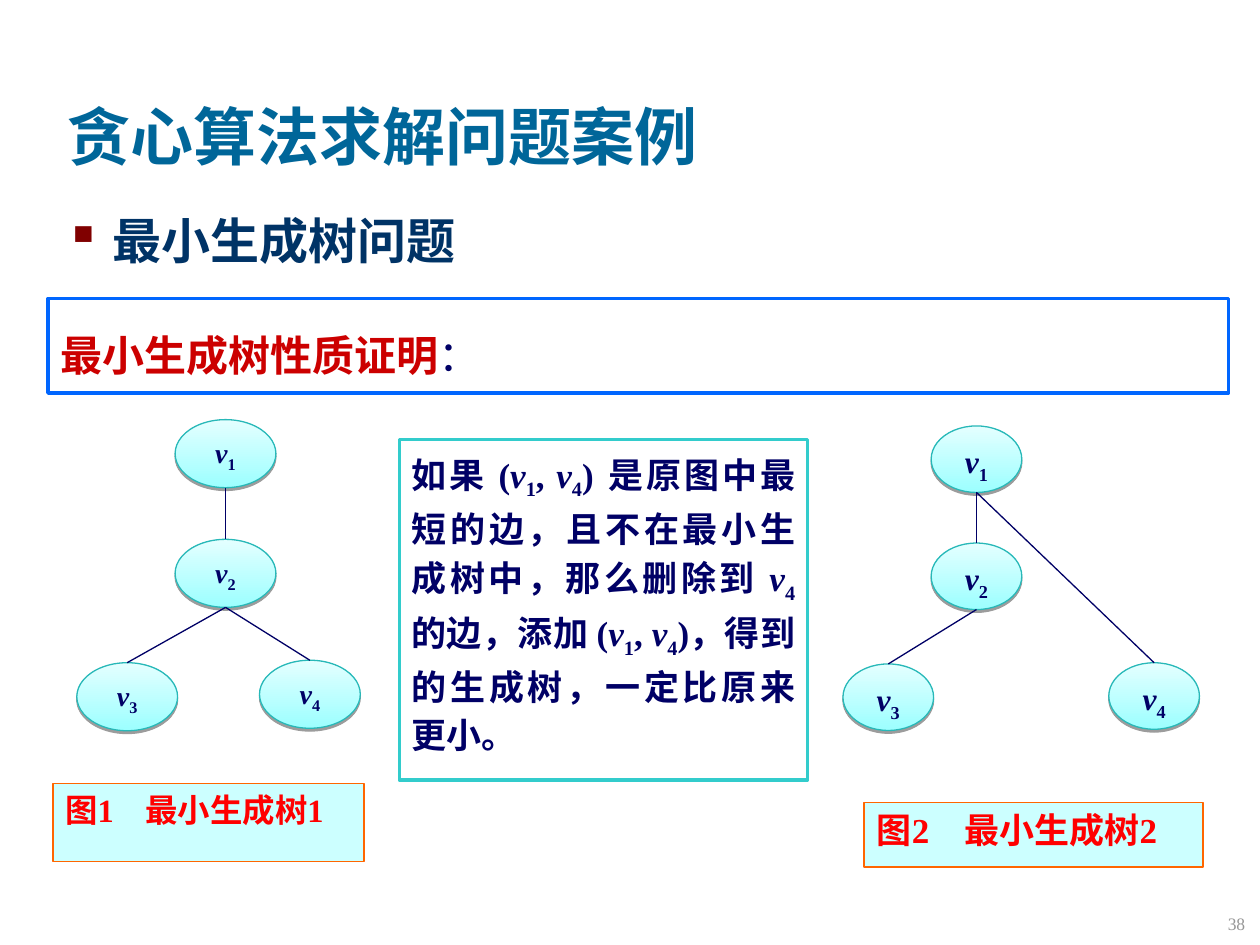
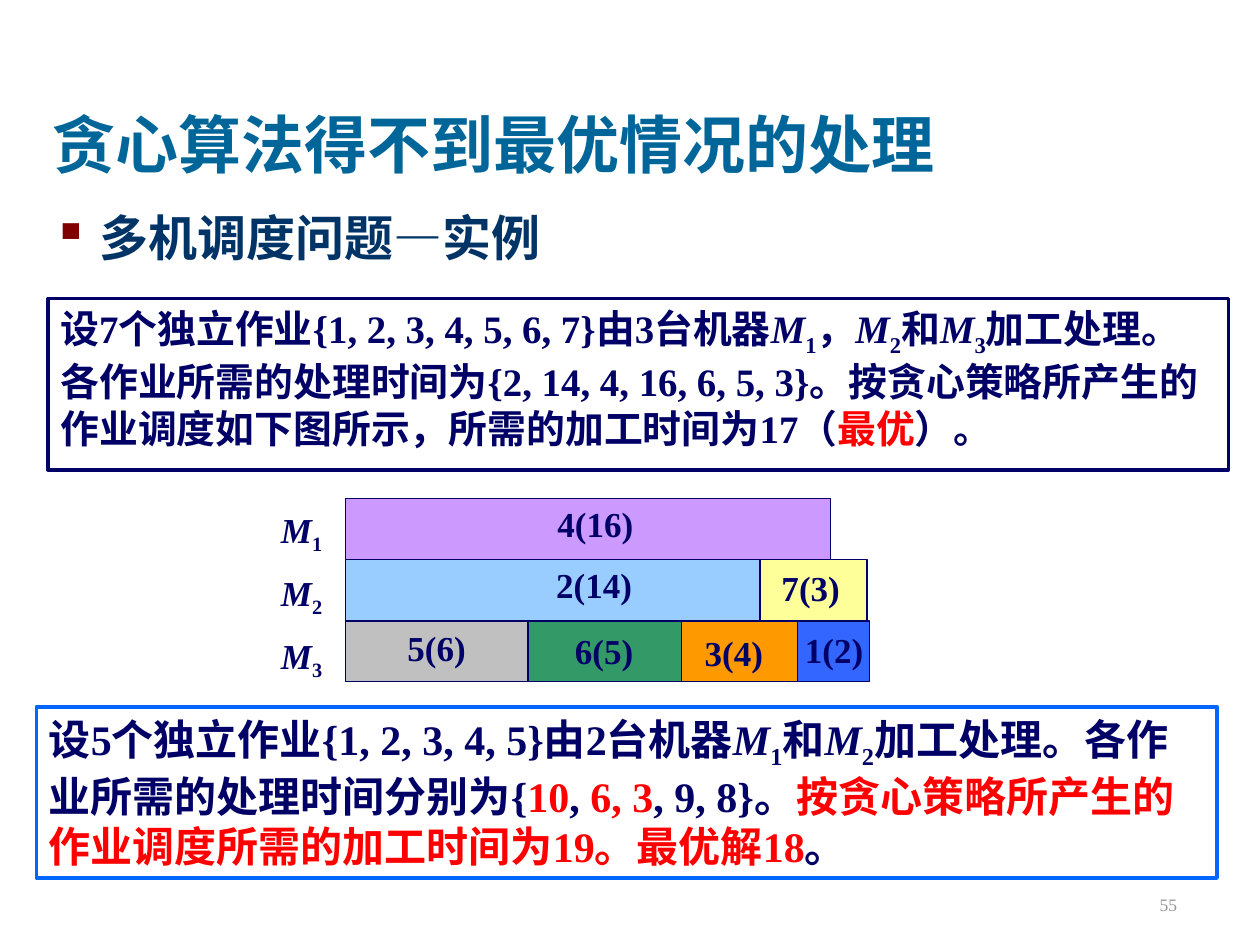
"""Build two slides on greedy algorithms: spanning trees and machine scheduling."""
from dataclasses import dataclass
from typing import NamedTuple

from lxml.etree import SubElement
from pptx import Presentation
from pptx.dml.color import RGBColor
from pptx.enum.lang import MSO_LANGUAGE_ID as Language
from pptx.enum.shapes import MSO_CONNECTOR as Connector, MSO_SHAPE as Preset
from pptx.enum.text import MSO_ANCHOR as Anchor, PP_ALIGN as Align
from pptx.oxml.ns import qn
from pptx.util import Pt

FONT = "Times New Roman"
NAVY, BLUE, RED, WHITE = "000066", "0066FF", "FF0000", "FFFFFF"
TITLE, HEADING, BULLET, NUMBER = "006699", "003366", "800000", "969696"
CRIMSON, TEAL, CYAN, ORANGE = "CC0000", "33CCCC", "CCFFFF", "FF6600"
NODE_EDGE, NODE_BOTTOM, NODE_TOP = "28B8B8", "9CFFFF", "E4FFFF"
ROW_TOP, ROW_PITCH, BAR_HEIGHT = 285, 34.9, 34.7


class Area(NamedTuple):
    """Left, top, width and height in points."""

    left: float
    top: float
    width: float
    height: float


class Span(NamedTuple):
    """A stretch of text with one look."""

    text: str
    color: str = ""
    italic: bool = False
    sub: bool = False
    bold: bool = True


@dataclass
class Style:
    """The look of one paragraph."""

    size: float
    color: str = NAVY
    align: Align = Align.LEFT
    anchor: Anchor = Anchor.TOP
    line_spacing: float | None = None
    margins: tuple[float, float] = (7.2, 3.6)
    tab: float = 0
    bullet: bool = False


@dataclass
class Frame:
    """A bordered rectangle with text."""

    area: Area
    edge: str
    spans: list[Span]
    style: Style
    fill: str = WHITE
    weight: float = 2


@dataclass
class Tree:
    """A spanning tree whose nodes are numbered from one."""

    node_width: float
    node_height: float
    size: float
    corners: list[tuple[float, float]]
    edges: list[tuple[int, int]]


class Job(NamedTuple):
    """A scheduled job: its bar and its label."""

    name: str
    row: int
    left: float
    width: float
    fill: str
    label_left: float
    label_top: float
    label_width: float


def rgb(value: str) -> RGBColor:
    """Turn a hex string into a colour."""
    return RGBColor.from_string(value)


def symbol(letter: str, index: str) -> list[Span]:
    """Return an italic letter with a subscript."""
    return [Span(letter, italic=True), Span(index, sub=True)]


def write(shape, spans: list[Span], style: Style) -> None:
    """Fill a shape with one paragraph of styled spans."""
    frame = shape.text_frame
    frame.word_wrap = True
    frame.vertical_anchor = style.anchor
    frame.margin_left = frame.margin_right = Pt(style.margins[0])
    frame.margin_top = frame.margin_bottom = Pt(style.margins[1])
    para = frame.paragraphs[0]
    para.alignment = style.align
    para.line_spacing = style.line_spacing
    properties = para._p.get_or_add_pPr()
    if style.bullet:
        properties.set("marL", str(Pt(27)))
        properties.set("indent", str(Pt(-27)))
        color = SubElement(properties, qn("a:buClr"))
        SubElement(color, qn("a:srgbClr"), val=BULLET)
        SubElement(properties, qn("a:buChar"), char="▪")
    if style.tab:
        stops = SubElement(properties, qn("a:tabLst"))
        SubElement(stops, qn("a:tab"), pos=str(Pt(style.tab)), algn="l")
    for item in spans:
        span = para.add_run()
        span.text = item.text
        font = span.font
        font.name, font.size = FONT, Pt(style.size)
        font.bold, font.italic = item.bold, item.italic
        font.language_id = Language.SIMPLIFIED_CHINESE
        font.color.rgb = rgb(item.color or style.color)
        if item.sub:
            span._r.get_or_add_rPr().set("baseline", "-25000")


def add_text(shapes, area: Area, spans: list[Span], style: Style) -> None:
    """Add a text box."""
    write(shapes.add_textbox(*map(Pt, area)), spans, style)


def add_shape(shapes, preset: Preset, area: Area, edge: str, weight: float):
    """Add a shadowless outlined shape."""
    shape = shapes.add_shape(preset, *map(Pt, area))
    shape.shadow.inherit = False
    shape.line.color.rgb = rgb(edge)
    shape.line.width = Pt(weight)
    return shape


def add_rect(shapes, area: Area, fill: str, edge: str, weight: float):
    """Add a filled rectangle."""
    rect = add_shape(shapes, Preset.RECTANGLE, area, edge, weight)
    rect.fill.solid()
    rect.fill.fore_color.rgb = rgb(fill)
    return rect


def add_frame(shapes, frame: Frame) -> None:
    """Add a bordered rectangle with its text."""
    rect = add_rect(shapes, frame.area, frame.fill, frame.edge, frame.weight)
    write(rect, frame.spans, frame.style)


def add_node(shapes, area: Area, number: int, size: float) -> None:
    """Add a tree node with a gradient and a drop shadow."""
    node = add_shape(shapes, Preset.OVAL, area, NODE_EDGE, 0.75)
    node.fill.gradient()
    node.fill.gradient_angle = 90
    for stop, color in zip(node.fill.gradient_stops, (NODE_BOTTOM, NODE_TOP)):
        stop.color.rgb = rgb(color)
    effects = node._element.spPr.find(qn("a:effectLst"))
    shadow = SubElement(effects, qn("a:outerShdw"), blurRad="0",
                        dist=str(Pt(1.6)), dir="5400000", rotWithShape="0")
    color = SubElement(shadow, qn("a:srgbClr"), val="000000")
    SubElement(color, qn("a:alpha"), val="38000")
    write(node, symbol("v", str(number)), Style(size, align=Align.CENTER))


def add_tree(page, tree: Tree) -> None:
    """Draw the nodes of a tree and the edges from parent to child."""
    shapes = page.shapes.add_group_shape().shapes
    for number, (left, top) in enumerate(tree.corners, 1):
        area = Area(left, top, tree.node_width, tree.node_height)
        add_node(shapes, area, number, tree.size)
    middle = tree.node_width / 2
    for parent, child in tree.edges:
        start, end = tree.corners[parent - 1], tree.corners[child - 1]
        ends = (start[0] + middle, start[1] + tree.node_height,
                end[0] + middle, end[1])
        edge = shapes.add_connector(Connector.STRAIGHT, *map(Pt, ends))
        edge.line.color.rgb = rgb(NAVY)
        edge.line.width = Pt(0.75)
        SubElement(edge._element.spPr, qn("a:effectLst"))


def add_schedule(page, jobs: list[Job]) -> None:
    """Draw one row of job bars for each machine."""
    shapes = page.shapes.add_group_shape().shapes
    style = Style(20, align=Align.CENTER, margins=(0, 0))
    for job in jobs:
        top = ROW_TOP + job.row * ROW_PITCH
        add_rect(shapes, Area(job.left, top, job.width, BAR_HEIGHT),
                 job.fill, NAVY, 0.75)
        label = Area(job.label_left, job.label_top, job.label_width, 23.8)
        add_text(shapes, label, [Span(job.name)], style)
    for row in range(3):
        add_text(shapes, Area(151.9, 290.3 + row * 36, 41, 27.4),
                 symbol("M", str(row + 1)), style)


def add_page(deck, title: tuple[str, Area], heading: tuple[str, Area],
             number: tuple[str, Area]):
    """Add a blank page with title, bulleted heading and page number."""
    page = deck.slides.add_slide(deck.slide_layouts[6])
    add_text(page.shapes, title[1], [Span(title[0])],
             Style(36, TITLE, anchor=Anchor.BOTTOM))
    add_text(page.shapes, heading[1], [Span(heading[0])],
             Style(28, HEADING, bullet=True))
    add_text(page.shapes, number[1], [Span(number[0], bold=False)],
             Style(10, NUMBER, Align.RIGHT, Anchor.BOTTOM))
    return page


def add_tree_page(deck) -> None:
    """Build the page on minimum spanning trees."""
    page = add_page(
        deck, ("贪心算法求解问题案例", Area(31.7, 12.2, 612, 90)),
        ("最小生成树问题", Area(30.2, 116.6, 643.7, 110.9)),
        ("38", Area(568.8, 501.1, 149.8, 36)))
    pair = [Span("("), *symbol("v", "1"), Span(", "), *symbol("v", "4")]
    proof = [Span("如果 "), *pair,
             Span(") 是原图中最短的边，且不在最小生成树中，那么删除到 "),
             *symbol("v", "4 "), Span("的边，添加 "), *pair,
             Span(")，得到的生成树，一定比原来更小。")]
    frames = [
        Frame(Area(27.4, 170.6, 674.6, 54), BLUE,
              [Span("最小生成树性质证明", CRIMSON), Span("：", bold=False)],
              Style(24, line_spacing=1.5)),
        Frame(Area(228.2, 251.3, 233.3, 194.4), TEAL, proof,
              Style(20, align=Align.JUSTIFY, line_spacing=1.15)),
        Frame(Area(30.2, 447.8, 177.8, 44.6), ORANGE, [Span("图1\t最小生成树1")],
              Style(18.5, RED, tab=46), CYAN, 1),
        Frame(Area(493.9, 458.6, 193.7, 36.7), ORANGE, [Span("图2\t最小生成树2")],
              Style(20, RED, tab=50), CYAN, 1),
    ]
    for frame in frames:
        add_frame(page.shapes, frame)
    add_tree(page, Tree(
        57.6, 38.9, 16,
        [(100.1, 239.8), (100.1, 308.2), (43.9, 378.7), (148.3, 377.3)],
        [(1, 2), (2, 3), (2, 4)]))
    add_tree(page, Tree(
        51.8, 38, 18,
        [(532.1, 243.4), (532.1, 310.3), (481.7, 379.4), (633.6, 378.7)],
        [(1, 2), (2, 3), (1, 4)]))


def add_schedule_page(deck) -> None:
    """Build the page on scheduling jobs on several machines."""
    page = add_page(
        deck, ("贪心算法得不到最优情况的处理", Area(23, 17.3, 612, 90)),
        ("多机调度问题—实例", Area(23, 115.2, 643.7, 350.6)),
        ("55", Area(529.9, 490.3, 149.8, 36)))
    first, second, third = (symbol("M", index) for index in "123")
    seven_jobs = [
        Span("设7个独立作业{1, 2, 3, 4, 5, 6, 7}由3台机器"), *first, Span("，"),
        *second, Span("和"), *third,
        Span("加工处理。各作业所需的处理时间为{2, 14, 4, 16, 6, 5, 3}。"
             "按贪心策略所产生的作业调度如下图所示，所需的加工时间为17（"),
        Span("最优", RED), Span("）。")]
    five_jobs = [
        Span("设5个独立作业{1, 2, 3, 4, 5}由2台机器"), *first, Span("和"), *second,
        Span("加工处理。各作业所需的处理时间分别为{"), Span("10", RED), Span(", "),
        Span("6, 3", RED), Span(", 9, 8}。"),
        Span("按贪心策略所产生的作业调度所需的加工时间为19。最优解18", RED),
        Span("。")]
    add_frame(page.shapes, Frame(Area(27.4, 170.6, 674.6, 97.9), NAVY,
                                 seven_jobs, Style(22.2)))
    add_schedule(page, [
        Job("4(16)", 0, 197.3, 277.2, "CC99FF", 313.9, 287.3, 52.6),
        Job("2(14)", 1, 197.3, 239, "99CCFF", 312.5, 321.8, 54),
        Job("7(3)", 1, 434.2, 61.2, "FFFF99", 442.8, 324, 41),
        Job("5(6)", 2, 197.3, 104.4, "C0C0C0", 218.2, 357.8, 62.6),
        Job("6(5)", 2, 301.7, 87.8, "339966", 313.9, 360, 62.6),
        Job("3(4)", 2, 389.5, 66.2, "FF9900", 395.3, 360.7, 48.2),
        Job("1(2)", 2, 455.8, 41, "3366FF", 457.9, 359.3, 37.4),
    ])
    add_frame(page.shapes, Frame(Area(20.9, 403.9, 674.6, 97.9), BLUE,
                                 five_jobs, Style(24)))


def main() -> None:
    """Build and save the deck."""
    deck = Presentation()
    deck.slide_width, deck.slide_height = Pt(720), Pt(540)
    add_tree_page(deck)
    add_schedule_page(deck)
    deck.save("out.pptx")


if __name__ == "__main__":
    main()
